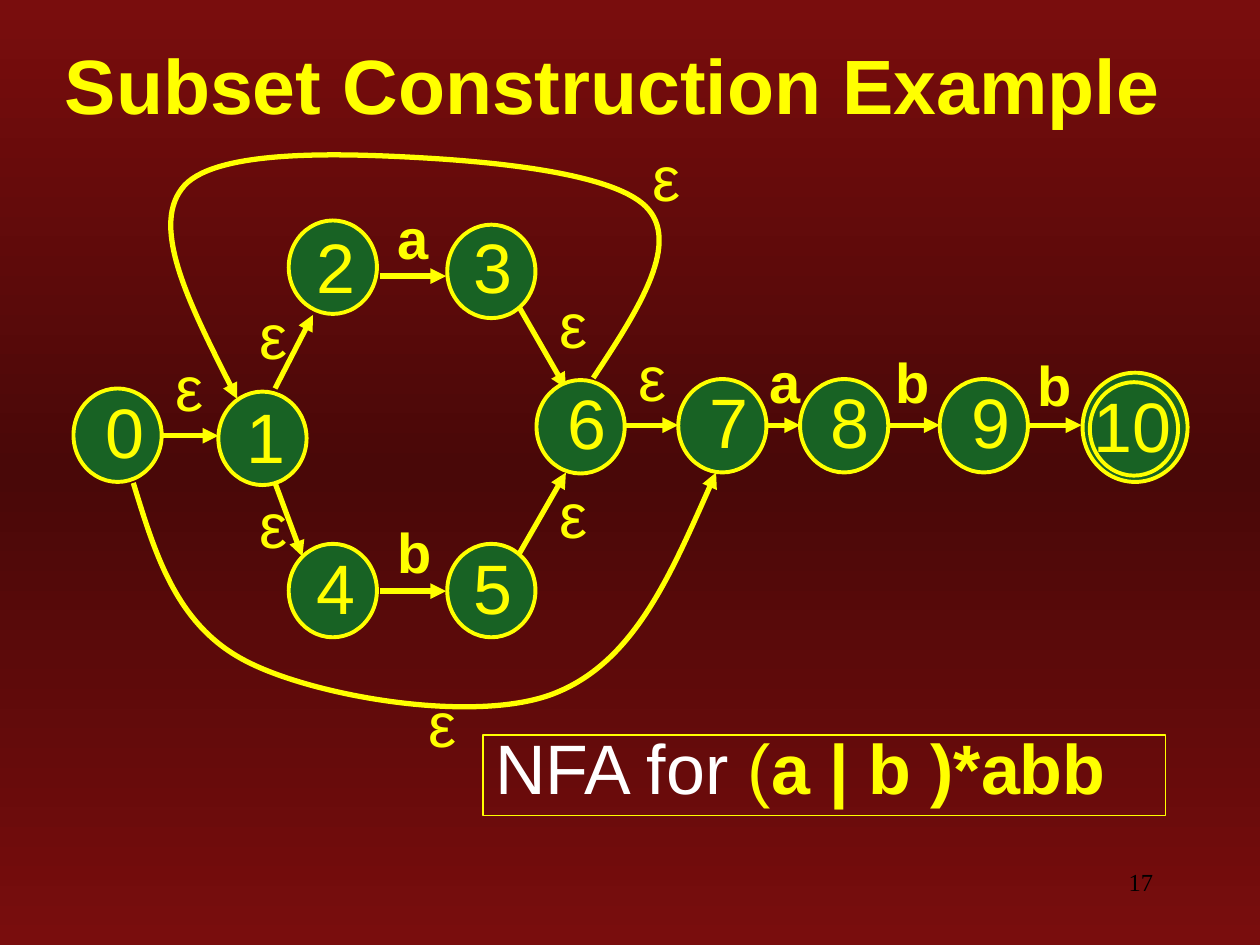
from copy import deepcopy

from lxml.etree import SubElement
from pptx import Presentation
from pptx.dml.color import RGBColor
from pptx.enum.shapes import MSO_CONNECTOR as Connector, MSO_SHAPE as Preset
from pptx.enum.text import MSO_ANCHOR as Anchor, PP_ALIGN as Align
from pptx.oxml.ns import qn
from pptx.util import Emu, Inches, Pt

CELL = Inches(1) / 12  # the slide is 120 columns by 90 rows
YELLOW, GREEN, WHITE, BLACK = "FFFF00", "186224", "FFFFFF", "000000"
EDGE_RED, MIDDLE_RED = "790D0D", "490808"
NODE_SIZE = (8.4, 8.9)

# state: node column and row, number column and row
STATES = {
    "0": (7, 37, 8.9, 38), "1": (20.8, 37.3, 22.3, 38.4),
    "2": (27.5, 21, 29, 22.2), "3": (42.6, 21.4, 43.9, 22.2),
    "4": (27.5, 51.8, 29, 52.8), "5": (42.6, 51.8, 43.9, 52.8),
    "6": (51.1, 36.2, 52.9, 37.1), "7": (64.6, 36.1, 66.4, 37),
    "8": (76.2, 36.1, 77.9, 37), "9": (89.5, 36.1, 91.3, 37),
    "10": (103.8, 36.4, 103, 37.4),
}
ARROWS = [
    (15.5, 41.5, 20.8, 41.5), (26.2, 37, 29.8, 30), (26.2, 46, 28.8, 53),
    (36.2, 26.3, 42.5, 26.3), (36.2, 56.3, 42.5, 56.3),
    (49.3, 29, 53.9, 37), (49.3, 53, 53.9, 45),
    (59.2, 40.5, 64.6, 40.5), (70.8, 40.5, 76.2, 40.5),
    (84.1, 40.5, 89.5, 40.5), (97.5, 40.5, 103, 40.5),
]
EPSILONS = [(15.5, 34), (23.5, 29), (23.5, 47), (52.1, 46.1), (52.1, 28),
            (61, 14), (39.6, 66), (59.6, 33)]
LETTERS = [("a", 36.7, 20), ("b", 36.7, 49.9), ("a", 72.1, 33.7),
           ("b", 84.1, 33.7), ("b", 97.6, 34)]
REPEAT_CURVE = [(56.5, 36), (60.6, 29.8), (64.7, 23.5), (61.8, 20),
                (59, 16.5), (47, 15.4), (39.6, 15),
                (32.2, 14.6), (20, 14.2), (17.3, 18),
                (14.4, 21.8), (18.5, 29.9), (22.6, 38)]
SKIP_CURVE = [(12.7, 46), (14.8, 52.8), (16.8, 59.6), (23.5, 63),
              (30.1, 66.4), (45.5, 69), (52.9, 66),
              (60.4, 63), (64.2, 54), (68.2, 45)]


def color(hex_code):
    return RGBColor.from_string(hex_code)


def cells(*counts):
    """Turn counts of grid cells into lengths."""
    return [Emu(round(count * CELL)) for count in counts]


def style_font(font, size, hex_code, bold=False, name="Arial"):
    font.name, font.size, font.bold = name, Pt(size), bold
    font.color.rgb = color(hex_code)


def set_background(slide):
    fill = slide.background.fill
    fill.gradient()
    fill.gradient_angle = 90
    stop_list = slide.element.find(".//" + qn("a:gsLst"))
    middle = deepcopy(stop_list[0])
    middle.set("pos", "50000")
    stop_list.insert(1, middle)
    for stop, hex_code in zip(fill.gradient_stops, (EDGE_RED, MIDDLE_RED, EDGE_RED)):
        stop.color.rgb = color(hex_code)


def add_text(slide, text, box, size, hex_code=YELLOW, bold=False, name="Arial", spacing=0.8):
    shape = slide.shapes.add_textbox(*cells(*box))
    shape.text_frame.word_wrap = True
    paragraph = shape.text_frame.paragraphs[0]
    paragraph.line_spacing = spacing
    paragraph.add_run().text = text
    style_font(paragraph.font, size, hex_code, bold, name)
    return shape


def add_title(slide):
    shape = add_text(slide, "Subset Construction Example", (5, 3, 116, 10), 44,
                     bold=True, spacing=1.0)
    shape.text_frame.vertical_anchor = Anchor.MIDDLE
    run = shape.text_frame.paragraphs[0].runs[0]
    effects = SubElement(run.font.fill._xPr, qn("a:effectLst"))
    shadow = SubElement(effects, qn("a:outerShdw"), dist="25400", dir="2700000")
    SubElement(shadow, qn("a:srgbClr"), val="C0C0C0")


def add_note(slide):
    shape = slide.shapes.add_textbox(*cells(46, 70, 65, 7.7))
    shape.line.color.rgb = color(YELLOW)
    shape.line.width = Pt(0.75)
    shape.text_frame.word_wrap = True
    paragraph = shape.text_frame.paragraphs[0]
    paragraph.line_spacing = 0.8
    for text, hex_code, bold in (("NFA for", WHITE, False), (" (", YELLOW, False),
                                 ("a | b )*abb", YELLOW, True)):
        run = paragraph.add_run()
        run.text = text
        style_font(run.font, 40, hex_code, bold)


def add_node(slide, column, row, width, height):
    shape = slide.shapes.add_shape(Preset.OVAL, *cells(column, row, width, height))
    shape.shadow.inherit = False
    shape.fill.solid()
    shape.fill.fore_color.rgb = color(GREEN)
    shape.line.color.rgb = color(YELLOW)
    shape.line.width = Pt(2.25)


def style_arrow(shape):
    shape.line.color.rgb = color(YELLOW)
    shape.line.width = Pt(3)
    properties = shape.element.spPr
    SubElement(properties.find(qn("a:ln")), qn("a:tailEnd"), type="triangle")
    if properties.find(qn("a:effectLst")) is None:
        SubElement(properties, qn("a:effectLst"))


def add_arrow(slide, *ends):
    style_arrow(slide.shapes.add_connector(Connector.STRAIGHT, *cells(*ends)))


def add_curve(slide, points):
    """Draw a start point followed by Bezier triples as one curved arrow."""
    start, *others = [cells(*point) for point in points]
    builder = slide.shapes.build_freeform(*start)
    builder.add_line_segments(others, close=False)
    shape = builder.convert_to_shape()
    outline = shape.element.find(".//" + qn("a:path"))
    segments = outline.findall(qn("a:lnTo"))
    for first in range(0, len(segments), 3):
        bezier = SubElement(outline, qn("a:cubicBezTo"))
        for segment in segments[first:first + 3]:
            bezier.append(segment[0])
            outline.remove(segment)
    shape.fill.background()
    style_arrow(shape)


def main():
    presentation = Presentation()
    presentation.slide_width, presentation.slide_height = cells(120, 90)
    slide = presentation.slides.add_slide(presentation.slide_layouts[6])
    set_background(slide)

    number = add_text(slide, "17", (86, 82, 25, 6), 14, BLACK,
                      name="Times New Roman", spacing=1.0)
    number.text_frame.paragraphs[0].alignment = Align.RIGHT
    add_title(slide)
    add_note(slide)

    for ends in ARROWS:
        add_arrow(slide, *ends)
    add_node(slide, 103.1, 35.5, 10, 10.4)  # outer ring of the accepting state
    for state, (column, row, text_column, text_row) in STATES.items():
        add_node(slide, column, row, *NODE_SIZE)
        width = 5.6 if len(state) == 1 else 10
        add_text(slide, state, (text_column, text_row, width, 7.7), 40)
    for column, row in EPSILONS:
        add_text(slide, "ε", (column, row, 4.4, 7), 36)
    for letter, column, row in LETTERS:
        add_text(slide, letter, (column, row, 6.7, 6.4), 32, bold=True)
    for points in (REPEAT_CURVE, SKIP_CURVE):
        add_curve(slide, points)

    presentation.save("out.pptx")


if __name__ == "__main__":
    main()
